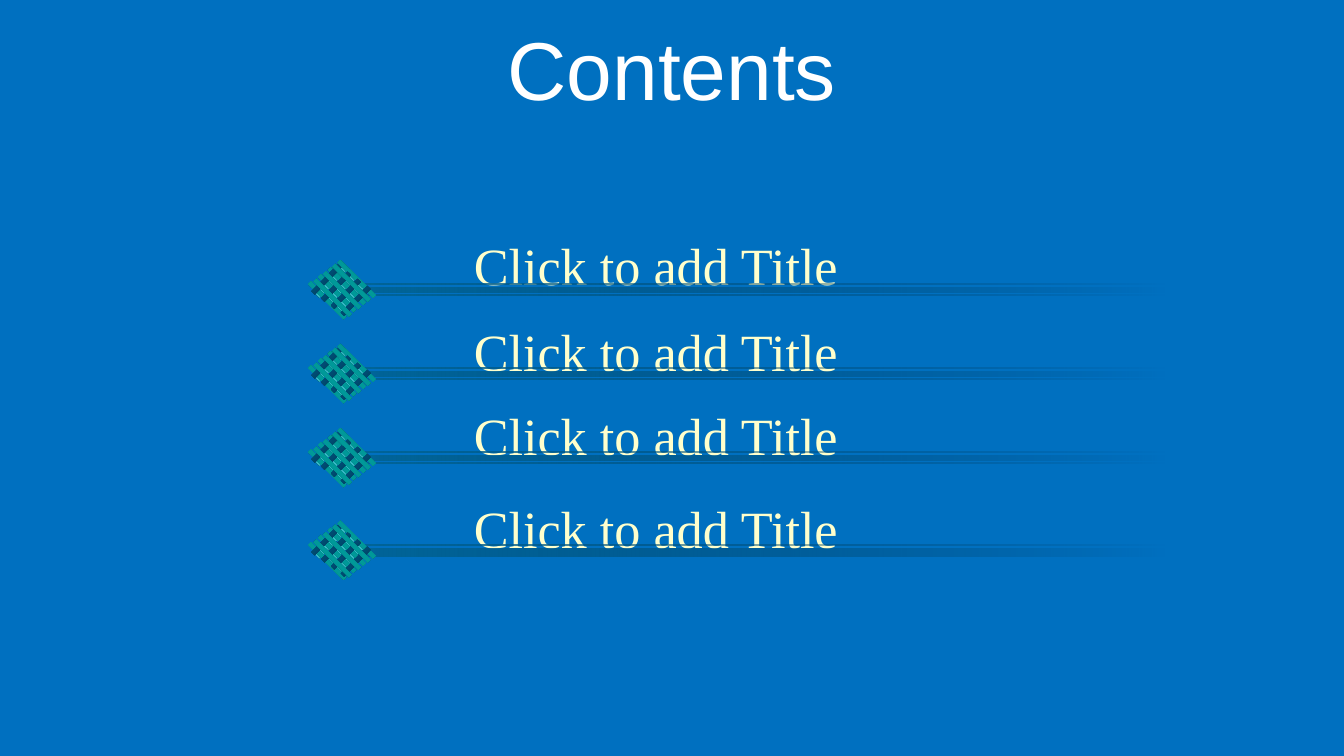
"""Build a contents slide with four titled rows, each marked by a woven diamond and a fading rule."""
from dataclasses import dataclass

from lxml import etree
from pptx import Presentation
from pptx import util as u
from pptx.dml.color import RGBColor
from pptx.enum import shapes, text
from pptx.oxml.ns import qn
from pptx.shapes.autoshape import Shape
from pptx.shapes.group import GroupShape
from pptx.slide import Slide

COLUMNS = 1000
ROWS = COLUMNS * 9 / 16
CELL = u.Inches(0.01)
TILT = 44.8

BLUE = RGBColor(0x00, 0x70, 0xC0)
WHITE = RGBColor(0xFF, 0xFF, 0xFF)
CREAM = RGBColor(0xFF, 0xFF, 0xCC)
STEEL = RGBColor(0x00, 0x66, 0x99)
NAVY = RGBColor(0x00, 0x2F, 0x47)
SLATE = RGBColor(0x1A, 0x56, 0x5D)
AQUA = RGBColor(0x38, 0xBA, 0xC8)
PINE = RGBColor(0x00, 0x6D, 0x6D)
TEAL = RGBColor(0x00, 0x99, 0x99)


@dataclass(frozen=True)
class Gradient:
    """Evenly spaced colours, an angle and whether the last colour is clear."""

    colors: tuple[RGBColor, ...]
    angle: int = 0
    fades: bool = False


@dataclass(frozen=True)
class Strips:
    """A run of equal strips, with tops counted from the top of their row."""

    left: float
    top: float
    width: float
    height: float
    gradient: Gradient
    count: int = 1
    step: tuple[float, float] = (0, 0)
    rotation: float = 0


@dataclass(frozen=True)
class ContentsRow:
    """One entry with the grid rows of its title and its rule."""

    title: str
    title_top: float
    rule_top: float


RULE = Gradient((STEEL, NAVY), fades=True)
DARK = Gradient((STEEL, NAVY))
BRIGHT = Gradient((SLATE, AQUA, SLATE))
GREEN = Gradient((PINE, TEAL, PINE), angle=90)

MARKER = (
    Strips(250, 3, 617, 4, RULE),
    Strips(250, 8, 617, 1, RULE),
    Strips(250, 0, 617, 1, RULE),
    Strips(244, -15, 4, 28, BRIGHT, 3, (7.5, 5.5), TILT),
    Strips(225, 11, 37, 3, GREEN, 4, (7.3, -5.3), TILT),
    Strips(241, -17, 3.5, 28, DARK, 4, (7.3, 5.3), TILT),
    Strips(229, 9, 37, 3, GREEN, 3, (7, -5.5), TILT),
)

CONTENTS = tuple(
    ContentsRow("Click to add Title", title_top, rule_top)
    for title_top, rule_top in ((169, 211), (233, 273.5), (295, 336), (364, 405))
)


def cells(*lengths: float) -> list[u.Emu]:
    """Turn grid counts into slide lengths."""
    return [u.Emu(round(length * CELL)) for length in lengths]


def paint(shape: Shape, gradient: Gradient) -> None:
    """Fill a shape with a gradient."""
    shape.fill.gradient()
    shape.fill.gradient_angle = gradient.angle
    stops = next(shape.element.iter(qn("a:gsLst")))
    for stop in list(stops):
        stops.remove(stop)
    last = len(gradient.colors) - 1
    for index, color in enumerate(gradient.colors):
        stop = etree.SubElement(stops, qn("a:gs"), pos=str(100000 * index // last))
        tone = etree.SubElement(stop, qn("a:srgbClr"), val=str(color))
        if gradient.fades and index == last:
            etree.SubElement(tone, qn("a:alpha"), val="0")


def add_strips(group: GroupShape, strips: Strips, row_top: float) -> None:
    """Draw a run of strips in a group."""
    for index in range(strips.count):
        left = strips.left + index * strips.step[0]
        top = row_top + strips.top + index * strips.step[1]
        shape = group.shapes.add_shape(
            shapes.MSO_SHAPE.RECTANGLE, *cells(left, top, strips.width, strips.height)
        )
        shape.rotation = strips.rotation
        shape.shadow.inherit = False
        shape.line.fill.background()
        paint(shape, strips.gradient)


def add_text(
    slide: Slide,
    content: str,
    *,
    box: tuple[float, float, float, float],
    size: int,
    font: str,
    color: RGBColor,
    wrap: bool = False,
    anchor: text.MSO_ANCHOR = text.MSO_ANCHOR.TOP,
) -> None:
    """Add one centred line of text."""
    frame = slide.shapes.add_textbox(*cells(*box)).text_frame
    frame.word_wrap = wrap
    frame.auto_size = text.MSO_AUTO_SIZE.NONE if wrap else text.MSO_AUTO_SIZE.SHAPE_TO_FIT_TEXT
    frame.vertical_anchor = anchor
    paragraph = frame.paragraphs[0]
    paragraph.alignment = text.PP_ALIGN.CENTER
    run = paragraph.add_run()
    run.text = content
    run.font.size = u.Pt(size)
    run.font.name = font
    run.font.color.rgb = color


def main() -> None:
    """Build and save the presentation."""
    presentation = Presentation()
    presentation.slide_width, presentation.slide_height = cells(COLUMNS, ROWS)
    slide = presentation.slides.add_slide(presentation.slide_layouts[6])
    slide.background.fill.solid()
    slide.background.fill.fore_color.rgb = BLUE

    add_text(
        slide, "Contents", box=(0, 19, COLUMNS, 62), size=44, font="Arial",
        color=WHITE, wrap=True, anchor=text.MSO_ANCHOR.MIDDLE,
    )
    for row in CONTENTS:
        add_text(
            slide, row.title, box=(341, row.title_top, 294, 57), size=28,
            font="Times New Roman", color=CREAM,
        )
    for row in CONTENTS:
        group = slide.shapes.add_group_shape()
        for strips in MARKER:
            add_strips(group, strips, row.rule_top)

    presentation.save("out.pptx")


if __name__ == "__main__":
    main()
